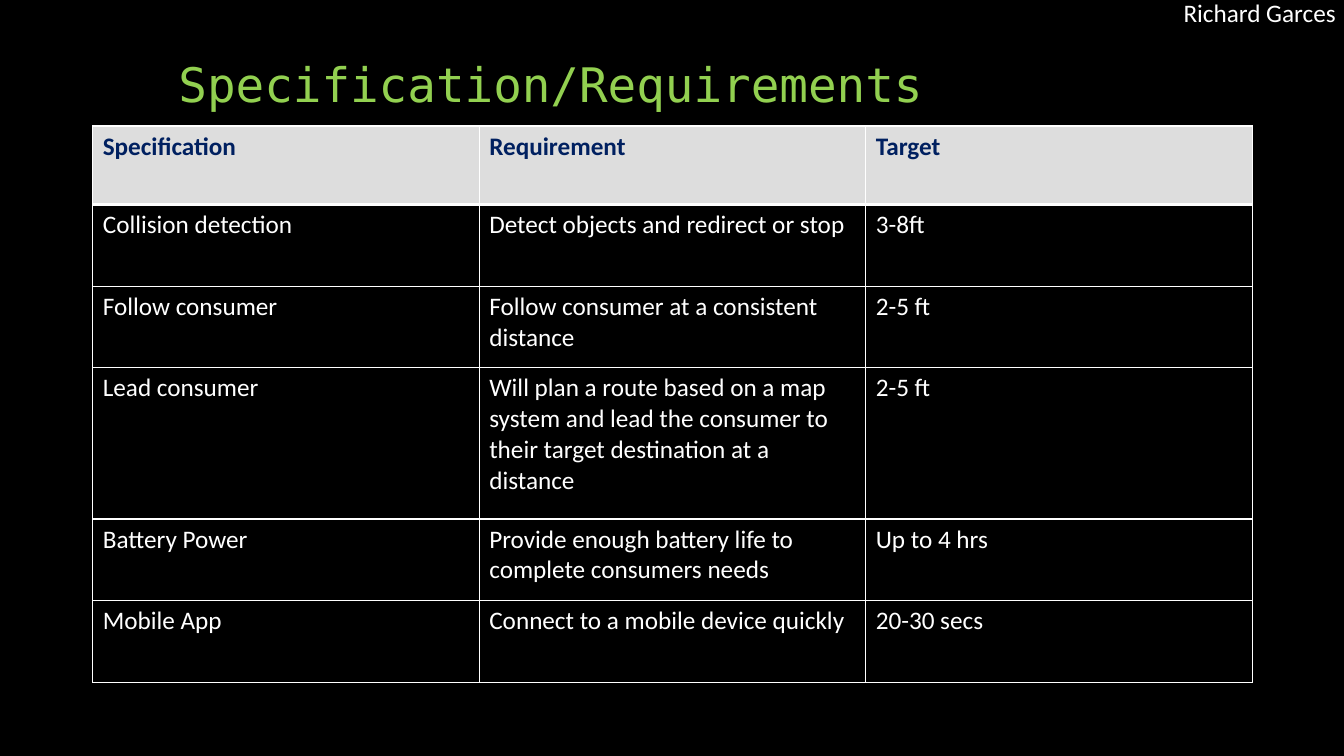
from lxml import etree
from pptx import Presentation
from pptx.dml.color import RGBColor
from pptx.enum.text import MSO_ANCHOR, MSO_AUTO_SIZE, PP_ALIGN
from pptx.oxml.ns import qn
from pptx.util import Inches, Pt

LEFT = PP_ALIGN.LEFT
BOTTOM = MSO_ANCHOR.BOTTOM
NO_FIT = MSO_AUTO_SIZE.NONE
GROW = MSO_AUTO_SIZE.SHAPE_TO_FIT_TEXT
BLACK, WHITE = "000000", "FFFFFF"
TITLE_ONLY = 5


def add_run(paragraph, text, size, font_name, color, bold=False):
    run = paragraph.add_run()
    run.text = text
    run.font.size = Pt(size)
    run.font.name = font_name
    run.font.bold = bold
    run.font.color.rgb = RGBColor.from_string(color)


def add_border(cell, side, points):
    """Draw a white line on one cell side: L, R, T or B."""
    line = etree.SubElement(cell._tc.get_or_add_tcPr(), qn(f"a:ln{side}"), w=str(Pt(points)))
    fill = etree.SubElement(line, qn("a:solidFill"))
    etree.SubElement(fill, qn("a:srgbClr"), val=WHITE)


prs = Presentation()
prs.slide_width, prs.slide_height = Inches(13.33), Inches(7.5)
slide = prs.slides.add_slide(prs.slide_layouts[TITLE_ONLY])
slide.background.fill.solid()
slide.background.fill.fore_color.rgb = RGBColor.from_string(BLACK)

# Title
title = slide.shapes.title
title.left, title.top = Inches(1.67), Inches(0.5)
title.width, title.height = Inches(10), Inches(0.67)
title.text_frame.auto_size = NO_FIT
title.text_frame.vertical_anchor = BOTTOM
heading = title.text_frame.paragraphs[0]
heading.alignment = LEFT
heading.line_spacing = 0.9
add_run(heading, "Specification/Requirements", 34, "DejaVu Sans Mono", "92D050")

# Requirements table
requirements = [
    ("Specification", "Requirement", "Target"),
    ("Collision detection", "Detect objects and redirect or stop", "3-8ft"),
    ("Follow consumer", "Follow consumer at a consistent distance", "2-5 ft"),
    ("Lead consumer", "Will plan a route based on a map system and lead the consumer "
     "to their target destination at a distance", "2-5 ft"),
    ("Battery Power", "Provide enough battery life to complete consumers needs", "Up to 4 hrs"),
    ("Mobile App", "Connect to a mobile device quickly", "20-30 secs"),
]
row_heights = [0.78, 0.81, 0.81, 1.5, 0.81, 0.81]
table = slide.shapes.add_table(len(requirements), 3, Inches(0.92), Inches(1.25),
                               Inches(11.5), Inches(sum(row_heights))).table
for column in table.columns:
    column.width = Inches(11.5 / 3)

for r, (height, entries) in enumerate(zip(row_heights, requirements)):
    table.rows[r].height = Inches(height)
    is_header = r == 0
    for c, entry in enumerate(entries):
        cell = table.cell(r, c)
        add_border(cell, "L", 1)
        add_border(cell, "R", 1)
        add_border(cell, "T", 3 if r == 1 else 1)
        add_border(cell, "B", 3 if is_header else 1)
        cell.fill.solid()
        cell.fill.fore_color.rgb = RGBColor.from_string("DDDDDD" if is_header else BLACK)
        add_run(cell.text_frame.paragraphs[0], entry, 18, "Calibri",
                "002060" if is_header else WHITE, is_header)

# Presenter
presenter = slide.shapes.add_textbox(Inches(11.64), Inches(-0.08), Inches(1.84), Inches(0.4))
presenter.text_frame.word_wrap = False
presenter.text_frame.auto_size = GROW
add_run(presenter.text_frame.paragraphs[0], "Richard Garces", 18, "Calibri", WHITE)

prs.save("out.pptx")
